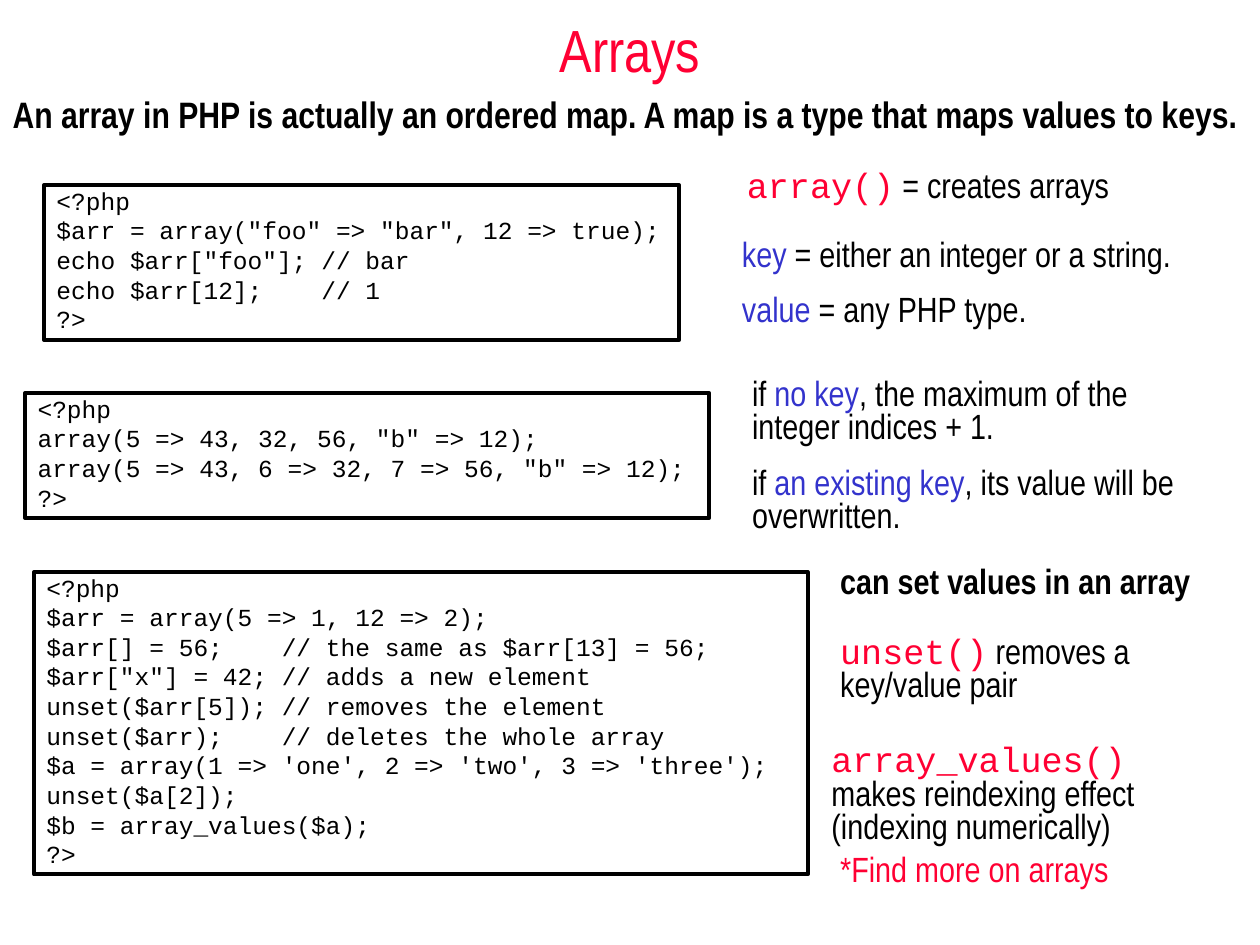
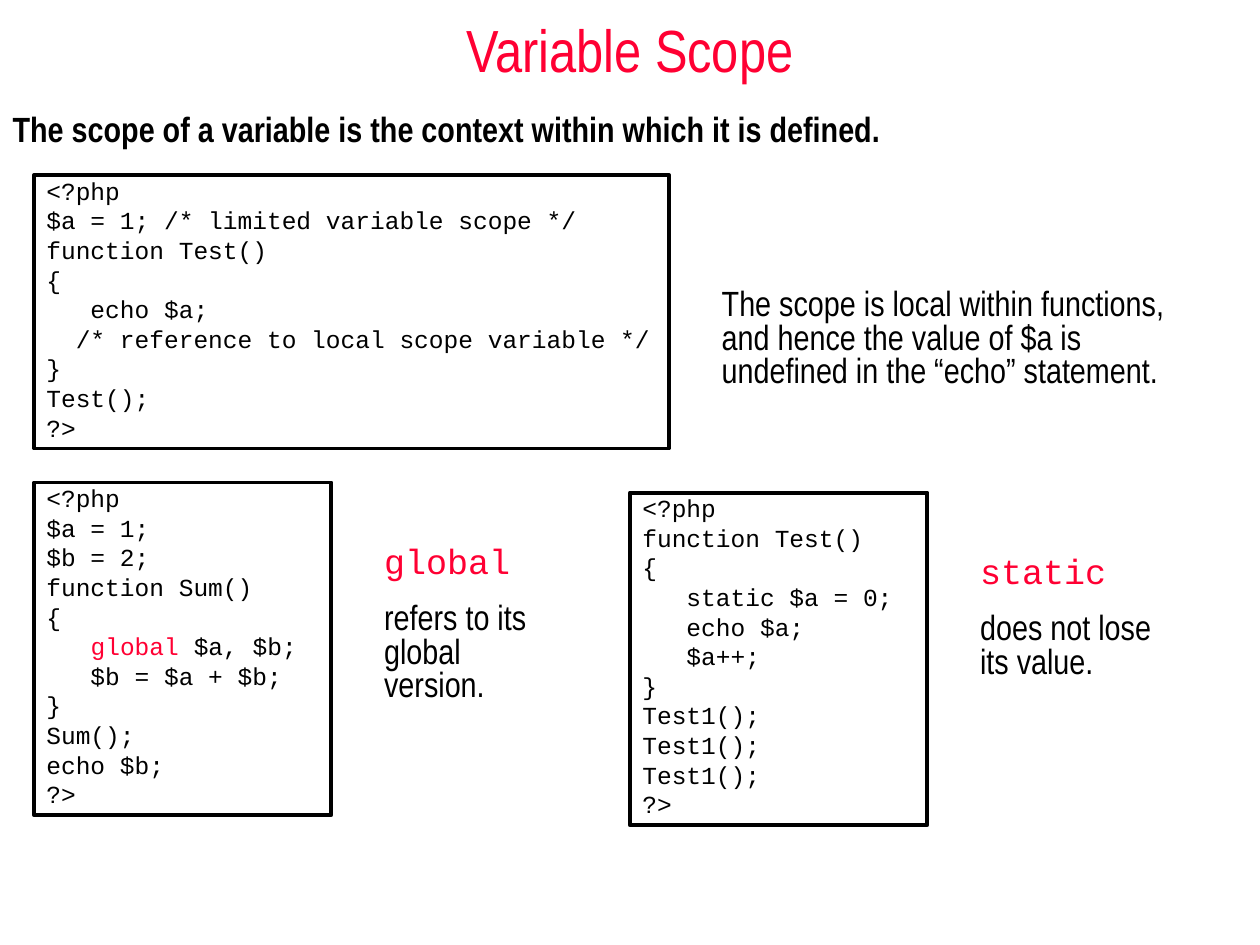
"""Build two PHP teaching slides: Arrays and Variable Scope."""
import pptx
import pptx.dml.color
import pptx.enum.shapes
import pptx.enum.text
import pptx.util
from lxml import etree

Inches = pptx.util.Inches
Pt = pptx.util.Pt
ANCHOR = pptx.enum.text.MSO_ANCHOR
AUTO_SIZE = pptx.enum.text.MSO_AUTO_SIZE
ALIGN = pptx.enum.text.PP_ALIGN

COLORS = {"red": "FF0033", "blue": "3333CC", "black": "000000"}
SANS, MONO = "Arial Narrow", "Courier New"
STYLES = {
    "title": (SANS, 34, "red", False),
    "lead": (SANS, 21, "black", True),
    "plain": (SANS, 20, "black", False),
    "strong": (SANS, 20, "black", True),
    "term": (SANS, 20, "blue", False),
    "hint": (SANS, 20, "red", False),
    "call": (MONO, 20, "red", False),
    "code": (MONO, 14, "black", False),
    "keyword": (MONO, 14, "red", False),
}

FOO_CODE = """<?php
$arr = array("foo" => "bar", 12 => true);
echo $arr["foo"]; // bar
echo $arr[12];    // 1
?>"""
INDEX_CODE = """<?php
array(5 => 43, 32, 56, "b" => 12);
array(5 => 43, 6 => 32, 7 => 56, "b" => 12);
?>"""
UNSET_CODE = """<?php
$arr = array(5 => 1, 12 => 2);
$arr[] = 56;    // the same as $arr[13] = 56;
$arr["x"] = 42; // adds a new element
unset($arr[5]); // removes the element
unset($arr);    // deletes the whole array
$a = array(1 => 'one', 2 => 'two', 3 => 'three');
unset($a[2]);
$b = array_values($a);
?>"""
LOCAL_CODE = """<?php
$a = 1; /* limited variable scope */
function Test()
{
   echo $a;
  /* reference to local scope variable */
}
Test();
?>"""
GLOBAL_CODE = """<?php
$a = 1;
$b = 2;
function Sum()
{
   global $a, $b;
   $b = $a + $b;
}
Sum();
echo $b;
?>"""
STATIC_CODE = """<?php
function Test()
{
   static $a = 0;
   echo $a;
   $a++;
}
Test1();
Test1();
Test1();
?>"""

PAGES = [
    {
        "title": "Arrays",
        "lead": "An array in PHP is actually an ordered map. "
                "A map is a type that maps values to keys.",
        "lead_style": "lead",
        "lead_place": (0, 0.68, 10, 0.47),
        "lead_spacing": 1.0,
        "listings": [
            ((0.35, 1.47, 5.04, 1.23), FOO_CODE),
            ((0.2, 3.12, 5.43, 0.99), INDEX_CODE),
            ((0.27, 4.54, 6.14, 2.4), UNSET_CODE),
        ],
        "notes": [
            ((5.83, 1.31, 3.35, 0.37),
             [[("call", "array()"), ("plain", " = creates arrays")]]),
            ((5.79, 1.86, 3.78, 0.81),
             [[("term", "key"), ("plain", " = either an integer or a string.")],
              [("term", "value"), ("plain", " = any PHP type.")]]),
            ((5.87, 2.96, 3.78, 1.34),
             [[("plain", "if "), ("term", "no key"),
               ("plain", ", the maximum of the integer indices + 1.")],
              [("plain", "if "), ("term", "an existing key"),
               ("plain", ", its value will be overwritten.")]]),
            ((6.57, 4.46, 3.15, 0.37), [[("strong", "can set values in an array")]]),
            ((6.57, 5.01, 2.68, 0.64),
             [[("call", "unset()"), ("plain", " removes a key/value pair")]]),
            ((6.5, 5.87, 3.11, 0.9),
             [[("call", "array_values()"),
               ("plain", " makes reindexing effect (indexing numerically)")]]),
            ((6.57, 6.74, 2.6, 0.37), [[("hint", "*Find more on arrays")]]),
        ],
    },
    {
        "title": "Variable Scope",
        "lead": "The scope of a variable is the context within which it is defined.",
        "lead_style": "strong",
        "lead_place": (0, 0.84, 10, 0.45),
        "lead_spacing": 0.9,
        "listings": [
            ((0.27, 1.39, 5.04, 2.17), LOCAL_CODE),
            ((0.27, 3.83, 2.36, 2.64), GLOBAL_CODE),
            ((5, 3.91, 2.36, 2.64), STATIC_CODE),
        ],
        "notes": [
            ((5.63, 2.25, 3.94, 0.9),
             [[("plain", "The scope is local within functions, and hence the value "
                         "of $a is undefined in the “echo” statement.")]]),
            ((2.95, 4.3, 1.65, 1.34),
             [[("call", "global")], [("plain", "refers to its global version.")]]),
            ((7.68, 4.38, 1.81, 1.08),
             [[("call", "static")], [("plain", "does not lose its value.")]]),
        ],
    },
]


def write_text(box, paragraphs, spacing, before, auto_size, anchor=ANCHOR.TOP):
    """Fill a box with paragraphs given as lists of (style, text) spans."""
    frame = box.text_frame
    frame.word_wrap = True
    frame.auto_size = auto_size
    frame.vertical_anchor = anchor
    for number, spans in enumerate(paragraphs):
        para = frame.add_paragraph() if number else frame.paragraphs[0]
        para.alignment = ALIGN.LEFT
        para.line_spacing = spacing
        para.space_before = Pt(before)
        for style, text in spans:
            font_name, size, color, bold = STYLES[style]
            span = para.add_run()
            span.text = text
            span.font.name = font_name
            span.font.size = Pt(size)
            span.font.bold = bold
            span.font.color.rgb = pptx.dml.color.RGBColor.from_string(COLORS[color])


def move(placeholder, place):
    """Set the left, top, width and height of a placeholder in inches."""
    placeholder.left, placeholder.top, placeholder.width, placeholder.height = map(Inches, place)


deck = pptx.Presentation()
deck.slide_width, deck.slide_height = Inches(10), Inches(7.5)

for content in PAGES:
    page = deck.slides.add_slide(deck.slide_layouts[1])

    title = page.shapes.title
    move(title, (0, 0, 10, 0.78))
    write_text(title, [[("title", content["title"])]], 1.0, 0, AUTO_SIZE.NONE, ANCHOR.MIDDLE)
    title.text_frame.paragraphs[0].alignment = ALIGN.CENTER

    lead = page.placeholders[1]
    move(lead, content["lead_place"])
    write_text(lead, [[(content["lead_style"], content["lead"])]],
               content["lead_spacing"], 5, AUTO_SIZE.NONE)
    properties = lead.text_frame.paragraphs[0]._p.get_or_add_pPr()
    properties.set("marL", str(Inches(0.35)))
    properties.set("indent", str(Inches(-0.35)))
    etree.SubElement(properties, pptx.oxml.ns.qn("a:buNone"))

    for place, code in content["listings"]:
        box = page.shapes.add_shape(pptx.enum.shapes.MSO_SHAPE.RECTANGLE, *map(Inches, place))
        box.shadow.inherit = False
        box.fill.background()
        box.line.color.rgb = pptx.dml.color.RGBColor.from_string(COLORS["black"])
        box.line.width = Pt(2.25)
        lines = []
        for line in code.splitlines():
            parts = zip(("code", "keyword", "code"), line.partition("global"))
            lines.append([(style, text) for style, text in parts if text])
        write_text(box, lines, 0.8, 3.5, AUTO_SIZE.SHAPE_TO_FIT_TEXT)

    for place, paragraphs in content["notes"]:
        box = page.shapes.add_textbox(*map(Inches, place))
        write_text(box, paragraphs, 0.8, 12.5, AUTO_SIZE.SHAPE_TO_FIT_TEXT)

deck.save("out.pptx")
